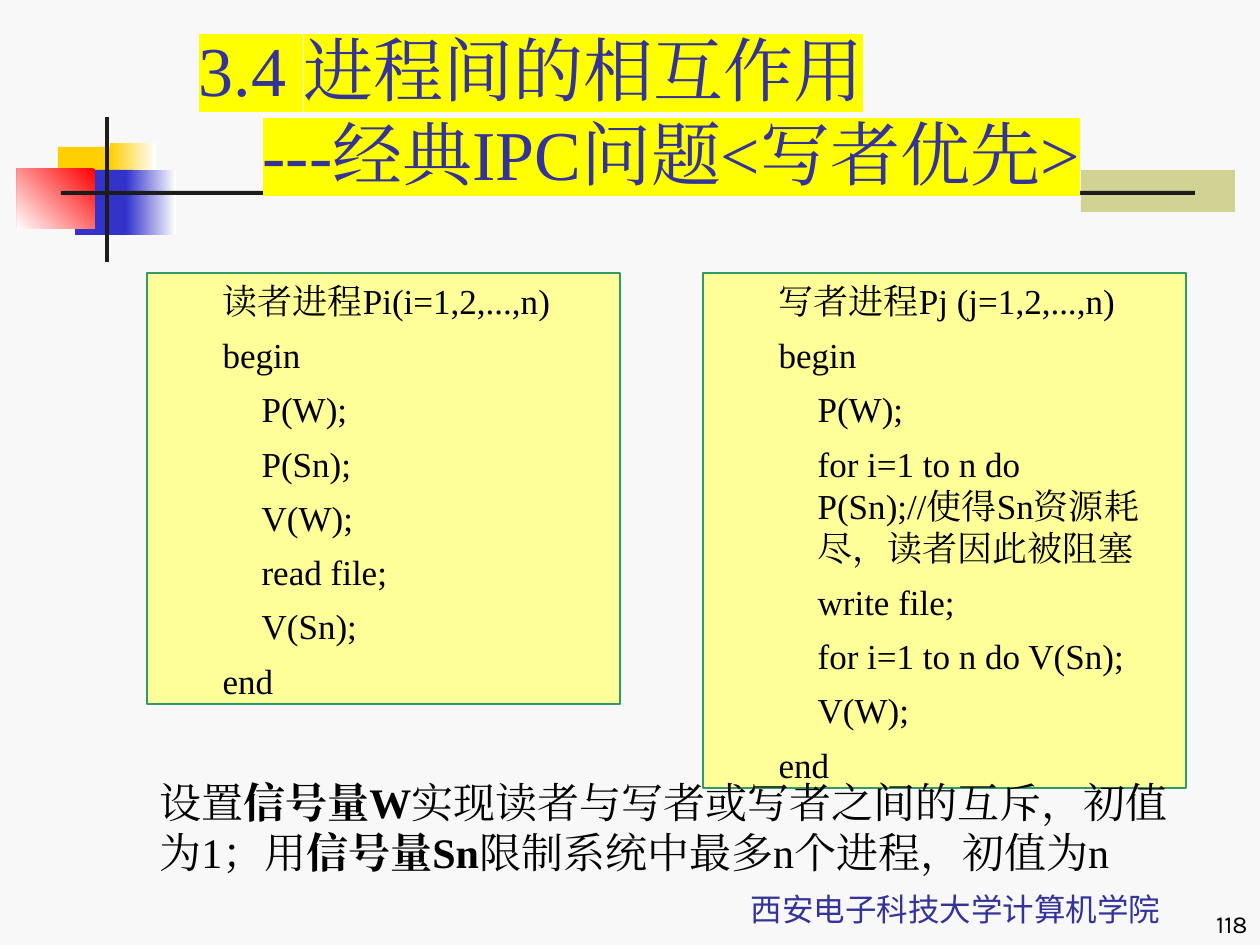
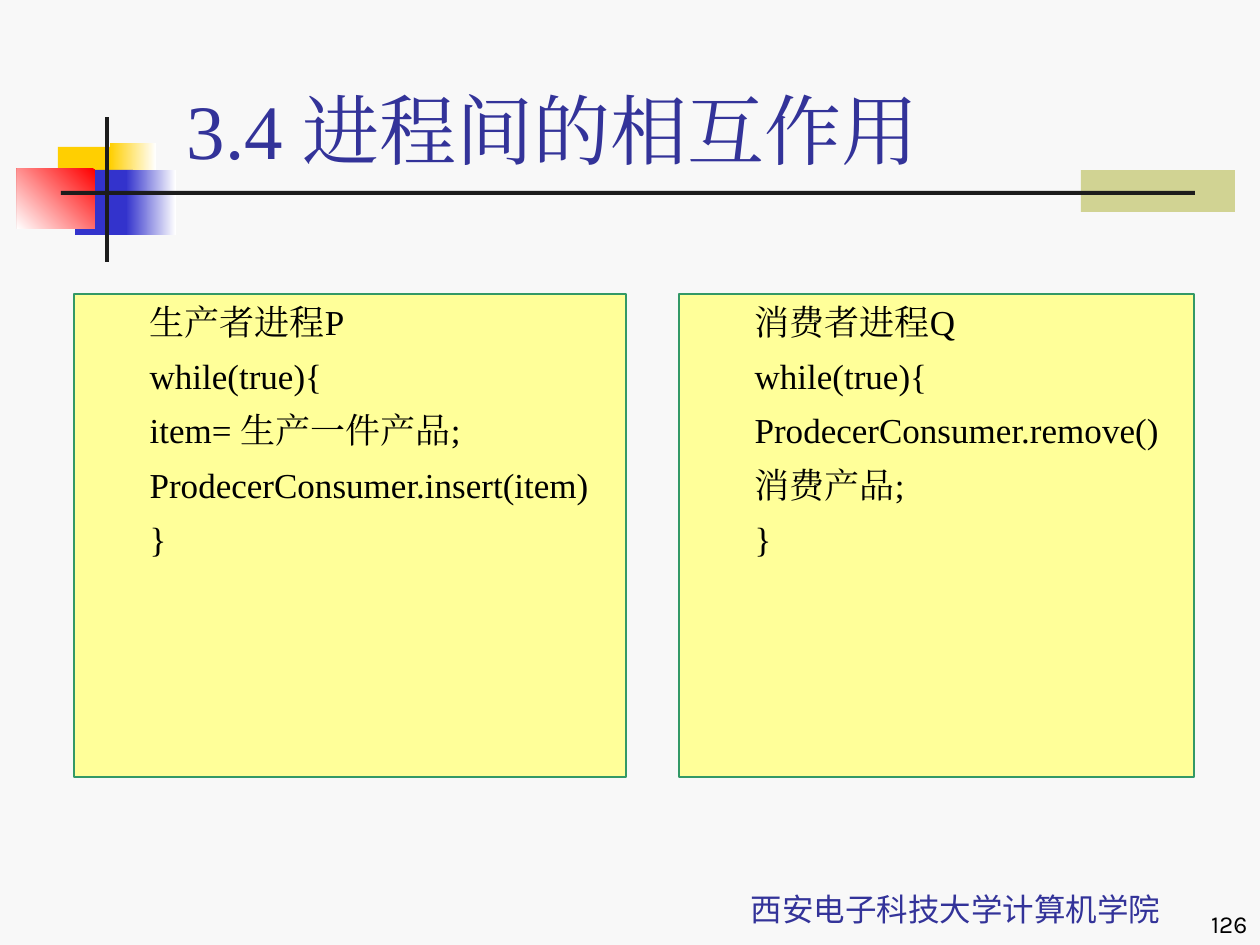
from pptx import Presentation
from pptx.dml.color import RGBColor
from pptx.enum.shapes import MSO_SHAPE
from pptx.enum.text import MSO_ANCHOR, MSO_AUTO_SIZE, PP_ALIGN
from pptx.oxml.ns import qn
from pptx.util import Pt
from lxml import etree

RECTANGLE = MSO_SHAPE.RECTANGLE
TOP, BOTTOM = MSO_ANCHOR.TOP, MSO_ANCHOR.BOTTOM
LEFT, CENTER, RIGHT = PP_ALIGN.LEFT, PP_ALIGN.CENTER, PP_ALIGN.RIGHT
NO_AUTOFIT = MSO_AUTO_SIZE.NONE

PAPER = RGBColor(0xF8, 0xF8, 0xF8)
WHITE = RGBColor(0xFF, 0xFF, 0xFF)
BLACK = RGBColor(0x00, 0x00, 0x00)
INK = RGBColor(0x1C, 0x1C, 0x1C)
INDIGO = RGBColor(0x33, 0x33, 0x99)
BLUE = RGBColor(0x33, 0x33, 0xCC)
GOLD = RGBColor(0xFF, 0xCF, 0x01)
RED = RGBColor(0xFF, 0x00, 0x00)
OLIVE = RGBColor(0xD1, 0xD3, 0x93)
PALE_YELLOW = RGBColor(0xFF, 0xFF, 0x99)
GREEN = RGBColor(0x33, 0x99, 0x66)
YELLOW = RGBColor(0xFF, 0xFF, 0x00)

SERIF, CHINESE, NUMERALS = "Times New Roman", "Noto Sans CJK SC", "Karla"
TWO_CONTENT = 3
PX = 914400 / 126
CODE_MARGIN, NESTED_MARGIN, SUBTITLE_MARGIN = 63, 102, 64

DECORATION = [
    ((1081, 170, 154, 42), (OLIVE,), 0),
    ((58, 147, 60, 65), (GOLD,), 0),
    ((110, 143, 46, 65), (WHITE, GOLD), 180),
    ((75, 170, 58, 65), (BLUE,), 0),
    ((126, 170, 50, 65), (WHITE, BLUE), 180),
    ((17, 169, 78, 60), (RED, WHITE), 225),
    ((105, 117, 4, 145), (INK,), 0),
    ((61, 191, 1134, 4), (INK,), 0),
]
FOOTER = "西安电子科技大学计算机学院"
FOOTER_BOX = (672, 861, 567, 73)
NUMBER_BOX = (998, 882, 262, 63)
NOTE_BOX = (147, 770, 1041, 115)

SLIDES = [
    {
        "number": "118",
        "title": ["3.4 进程间的相互作用", "---经典IPC问题<写者优先>"],
        "title_box": (186, 96, 1074, 105),
        "title_size": 40,
        "highlight": YELLOW,
        "code": [
            ((147, 273, 473, 431), [
                (0, "读者进程Pi(i=1,2,...,n)"),
                (0, "begin"),
                (1, "P(W);"),
                (1, "P(Sn);"),
                (1, "V(W);"),
                (1, "read file;"),
                (1, "V(Sn);"),
                (0, "end"),
            ]),
            ((703, 273, 483, 515), [
                (0, "写者进程Pj (j=1,2,...,n)"),
                (0, "begin"),
                (1, "P(W);"),
                (1, "for i=1 to n do P(Sn);//使得Sn资源耗尽，读者因此被阻塞"),
                (1, "write file;"),
                (1, "for i=1 to n do V(Sn);"),
                (1, "V(W);"),
                (0, "end"),
            ]),
        ],
        "note": [
            ("设置", False),
            ("信号量W", True),
            ("实现读者与写者或写者之间的互斥，初值为1；用", False),
            ("信号量Sn", True),
            ("限制系统中最多n个进程，初值为n", False),
        ],
    },
    {
        "number": "126",
        "title": ["3.4 进程间的相互作用"],
        "title_box": (174, 76, 1074, 105),
        "title_size": 44,
        "highlight": None,
        "code": [
            ((74, 294, 552, 483), [
                (0, "生产者进程P"),
                (0, "while(true){"),
                (0, "item= 生产一件产品;"),
                (0, "ProdecerConsumer.insert(item)"),
                (0, "}"),
            ]),
            ((679, 294, 515, 483), [
                (0, "消费者进程Q"),
                (0, "while(true){"),
                (0, "ProdecerConsumer.remove()"),
                (0, "消费产品;"),
                (0, "}"),
            ]),
        ],
        "note": [],
    },
]


def emu(pixels):
    return round(pixels * PX)


def place(shape, box):
    shape.left, shape.top, shape.width, shape.height = map(emu, box)


def prepare_frame(shape, anchor):
    frame = shape.text_frame
    frame.word_wrap = True
    frame.auto_size = NO_AUTOFIT
    frame.vertical_anchor = anchor
    return frame


def format_paragraph(paragraph, size, color, name=SERIF, align=LEFT, margin=0, before=0, after=0):
    properties = paragraph._p.get_or_add_pPr()
    properties.set("marL", str(emu(margin)))
    properties.set("indent", "0")
    etree.SubElement(properties, qn("a:buNone"))
    paragraph.alignment = align
    paragraph.line_spacing = Pt(size * 1.2)
    paragraph.space_before = Pt(before)
    paragraph.space_after = Pt(after)
    font = paragraph.font
    font.size = Pt(size)
    font.color.rgb = color
    font.name = name
    east_asian = etree.SubElement(properties.find(qn("a:defRPr")), qn("a:ea"))
    east_asian.set("typeface", name)


def highlight_run(run, color):
    highlight = etree.SubElement(run._r.get_or_add_rPr(), qn("a:highlight"))
    etree.SubElement(highlight, qn("a:srgbClr")).set("val", str(color))


def add_text_box(slide, box, runs, anchor, size, color, **style):
    shape = slide.shapes.add_textbox(*map(emu, box))
    paragraph = prepare_frame(shape, anchor).paragraphs[0]
    format_paragraph(paragraph, size, color, after=1, **style)
    for text, bold in runs:
        run = paragraph.add_run()
        run.text = text
        if bold:
            run.font.bold = True
    return shape


def add_decoration(slide, box, colors, angle):
    shape = slide.shapes.add_shape(RECTANGLE, *map(emu, box))
    shape.shadow.inherit = False
    shape.line.fill.background()
    if len(colors) == 1:
        shape.fill.solid()
        shape.fill.fore_color.rgb = colors[0]
    else:
        shape.fill.gradient()
        shape.fill.gradient_angle = angle
        for stop, color in zip(shape.fill.gradient_stops, colors):
            stop.color.rgb = color
    return shape


def decorate_layout(layout, slide):
    for placeholder in list(layout.placeholders):
        if placeholder.placeholder_format.idx >= 10:
            placeholder.element.getparent().remove(placeholder.element)
    shapes = [add_decoration(slide, *part) for part in DECORATION]
    shapes.append(add_text_box(slide, FOOTER_BOX, [(FOOTER, False)], BOTTOM, 18, INDIGO,
                               name=CHINESE, align=CENTER))
    for shape in shapes:
        layout.shapes.element.append(shape.element)


def fill_title(shape, content):
    place(shape, content["title_box"])
    frame = prepare_frame(shape, BOTTOM)
    for index, line in enumerate(content["title"]):
        paragraph = frame.add_paragraph() if index else frame.paragraphs[0]
        format_paragraph(paragraph, content["title_size"], INDIGO, margin=SUBTITLE_MARGIN * index)
        run = paragraph.add_run()
        run.text = line
        if content["highlight"] is not None:
            highlight_run(run, content["highlight"])


def fill_code(shape, box, lines):
    place(shape, box)
    shape.fill.solid()
    shape.fill.fore_color.rgb = PALE_YELLOW
    shape.line.color.rgb = GREEN
    shape.line.width = Pt(0.75)
    frame = prepare_frame(shape, TOP)
    for index, (nested, line) in enumerate(lines):
        paragraph = frame.add_paragraph() if index else frame.paragraphs[0]
        format_paragraph(paragraph, 20, BLACK, margin=NESTED_MARGIN if nested else CODE_MARGIN,
                         before=6 if index else 0, after=1)
        paragraph.add_run().text = line


def main():
    presentation = Presentation()
    presentation.slide_width, presentation.slide_height = emu(1260), emu(945)
    background = presentation.slide_master.background.fill
    background.solid()
    background.fore_color.rgb = PAPER
    layout = presentation.slide_layouts[TWO_CONTENT]
    for index, content in enumerate(SLIDES):
        slide = presentation.slides.add_slide(layout)
        if index == 0:
            decorate_layout(layout, slide)
        title, *code_boxes = slide.placeholders
        fill_title(title, content)
        for shape, (box, lines) in zip(code_boxes, content["code"]):
            fill_code(shape, box, lines)
        add_text_box(slide, NUMBER_BOX, [(content["number"], False)], BOTTOM, 14, BLACK,
                     name=NUMERALS, align=RIGHT)
        if content["note"]:
            add_text_box(slide, NOTE_BOX, content["note"], TOP, 24, BLACK)
    presentation.save("out.pptx")


if __name__ == "__main__":
    main()
